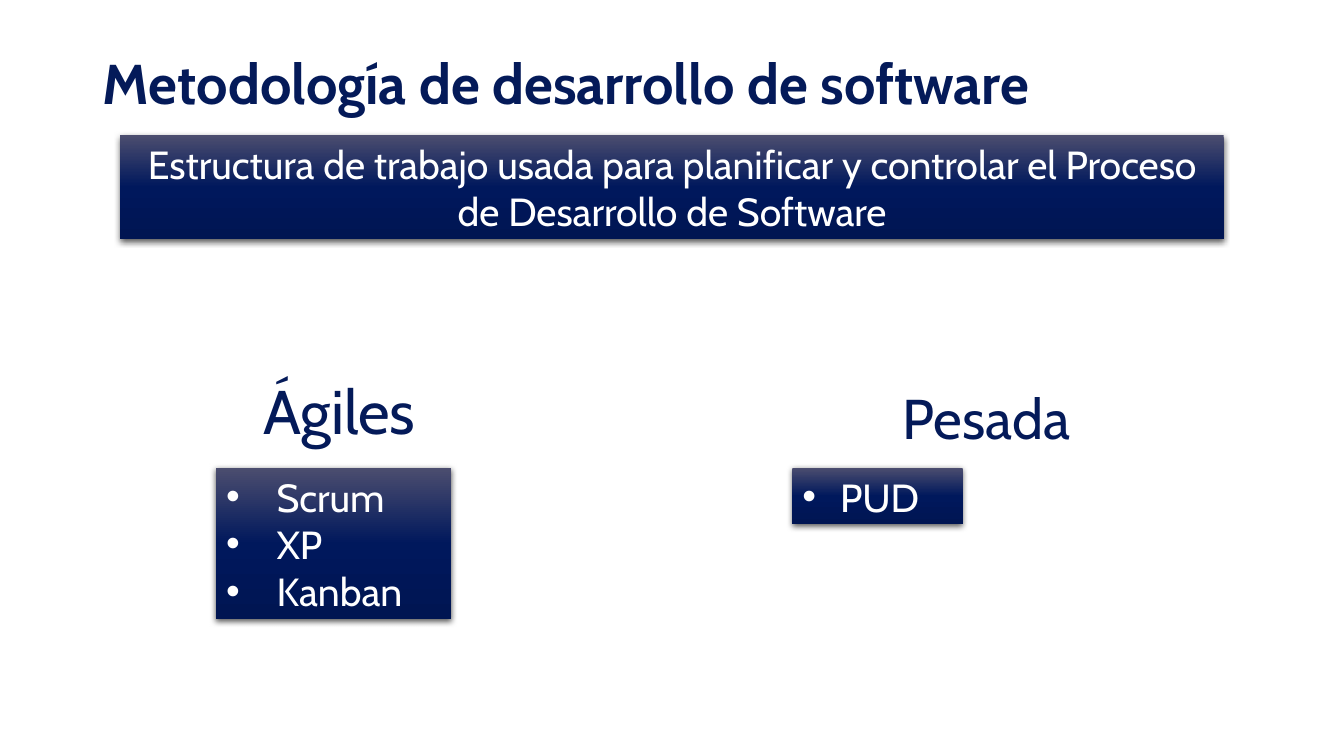
import copy

import pptx
import pptx.dml.color
import pptx.enum.shapes
import pptx.enum.text
import pptx.oxml
import pptx.oxml.ns
import pptx.util
from pptx.util import Cm

RGBColor = pptx.dml.color.RGBColor
Align = pptx.enum.text.PP_ALIGN
AutoSize = pptx.enum.text.MSO_AUTO_SIZE

NAVY = RGBColor(0x04, 0x1A, 0x59)
WHITE = RGBColor(0xFF, 0xFF, 0xFF)
GRADIENT = [
    (0, RGBColor(0x4B, 0x4D, 0x6F)),
    (0.5, RGBColor(0x00, 0x18, 0x5C)),
    (1, RGBColor(0x00, 0x15, 0x52)),
]
FONT = "Cabin"
NAMESPACE = pptx.oxml.ns.nsdecls("a")
SHADOW = (
    f'<a:outerShdw {NAMESPACE} blurRad="57150" dist="19050" dir="5400000" '
    'algn="ctr" rotWithShape="0"><a:srgbClr val="000000">'
    '<a:alpha val="63000"/></a:srgbClr></a:outerShdw>'
)
BULLET = (
    f'<a:buClr {NAMESPACE}><a:srgbClr val="{WHITE}"/></a:buClr>',
    f'<a:buFont {NAMESPACE} typeface="Arial"/>',
    f'<a:buChar {NAMESPACE} char="•"/>',
)


def style(paragraph, size, color, align=Align.LEFT, bold=False):
    paragraph.alignment = align
    paragraph.font.name = FONT
    paragraph.font.size = pptx.util.Pt(size)
    paragraph.font.bold = bold
    paragraph.font.color.rgb = color


def add_bullet(paragraph, indent):
    properties = paragraph._p.get_or_add_pPr()
    properties.set("marL", str(indent))
    properties.set("indent", str(-indent))
    for element in BULLET:
        properties.append(pptx.oxml.parse_xml(element))


def add_panel(slide, box, lines, align, indent=None):
    panel = slide.shapes.add_shape(pptx.enum.shapes.MSO_SHAPE.RECTANGLE, *box)
    panel.line.fill.background()
    panel.fill.gradient()
    panel.fill.gradient_angle = 270
    stop_list = panel._element.spPr.find(".//" + pptx.oxml.ns.qn("a:gsLst"))
    stop_list.insert(1, copy.deepcopy(stop_list[0]))
    for stop, (position, color) in zip(panel.fill.gradient_stops, GRADIENT):
        stop.position = position
        stop.color.rgb = color
    panel.shadow.inherit = False
    effects = panel._element.spPr.find(pptx.oxml.ns.qn("a:effectLst"))
    effects.append(pptx.oxml.parse_xml(SHADOW))

    frame = panel.text_frame
    frame.word_wrap = True
    frame.auto_size = AutoSize.SHAPE_TO_FIT_TEXT
    frame.vertical_anchor = pptx.enum.text.MSO_ANCHOR.TOP
    frame.text = "\n".join(lines)
    for paragraph in frame.paragraphs:
        if indent:
            add_bullet(paragraph, indent)
        style(paragraph, 28, WHITE, align)


def add_title(slide, left, top, width, height):
    title = slide.shapes.title
    title.left, title.top, title.width, title.height = left, top, width, height
    frame = title.text_frame
    frame.text = "Metodología de desarrollo de software"
    frame.auto_size = AutoSize.NONE
    frame.vertical_anchor = pptx.enum.text.MSO_ANCHOR.MIDDLE
    frame.paragraphs[0].line_spacing = 0.9
    style(frame.paragraphs[0], 40, NAVY, bold=True)


def add_definition(slide, *box):
    definition = (
        "Estructura de trabajo usada para planificar y controlar "
        "el Proceso de Desarrollo de Software"
    )
    add_panel(slide, box, [definition], Align.CENTER)


def add_family(slide, box, name, name_offset, name_box_size, name_size, methods, indent):
    left, top, width, height = box
    add_panel(slide, box, methods, Align.JUSTIFY, indent)
    dx, dy = name_offset
    heading = slide.shapes.add_textbox(left + dx, top + dy, *name_box_size)
    frame = heading.text_frame
    frame.word_wrap = True
    frame.auto_size = AutoSize.SHAPE_TO_FIT_TEXT
    frame.text = name
    style(frame.paragraphs[0], name_size, NAVY)


def main():
    presentation = pptx.Presentation()
    presentation.slide_width = Cm(33.87)
    presentation.slide_height = Cm(19.05)
    slide = presentation.slides.add_slide(presentation.slide_layouts[5])

    add_title(slide, Cm(2.34), Cm(1.02), Cm(26), Cm(2.29))
    add_definition(slide, Cm(3.03), Cm(3.41), Cm(27.81), Cm(2.62))

    families_top = Cm(11.79)
    add_family(
        slide, (Cm(5.45), families_top, Cm(5.92), Cm(3.82)),
        "Ágiles", (Cm(0.93), Cm(-2.52)), (Cm(4.67), Cm(1.96)), 44,
        ["Scrum", "XP", "Kanban"], Cm(1.27),
    )
    add_family(
        slide, (Cm(19.97), families_top, Cm(4.29), Cm(1.42)),
        "Pesada", (Cm(2.53), Cm(-2.26)), (Cm(5.26), Cm(1.93)), 40,
        ["PUD"], Cm(0.95),
    )
    presentation.save("out.pptx")


if __name__ == "__main__":
    main()
